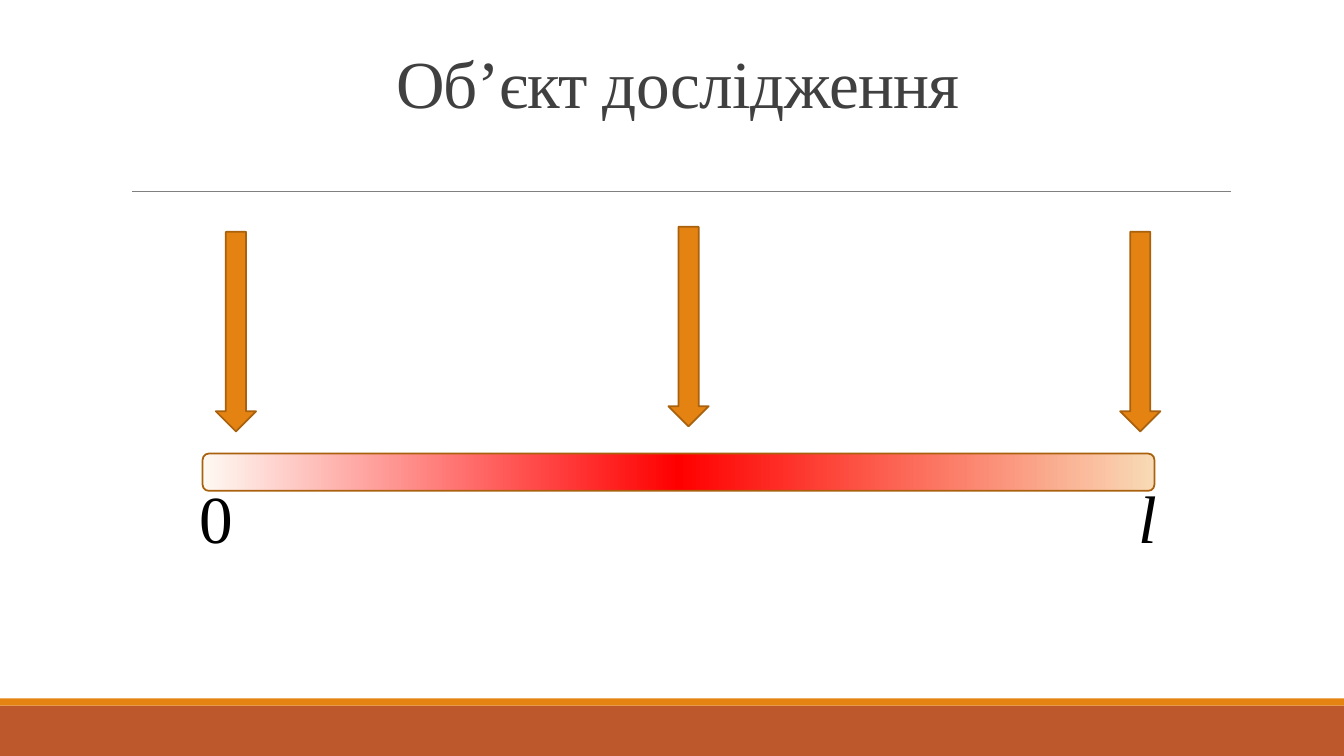
from copy import deepcopy
from lxml.etree import SubElement
from pptx import Presentation
from pptx.dml.color import RGBColor
from pptx.enum.shapes import MSO_CONNECTOR, MSO_SHAPE
from pptx.enum.text import MSO_ANCHOR, MSO_AUTO_SIZE, PP_ALIGN
from pptx.oxml.ns import qn
from pptx.util import Emu, Pt

SCALE = 9144
ORANGE, RUST, EDGE = "E48312", "BD582C", "A9610D"


def px(num):
    return Emu(num * SCALE)


def paint(item, tone):
    item.rgb = RGBColor.from_string(tone)


def apply(item, form):
    for name, value in form.items():
        setattr(item, name, value)


def add_form(slide, kind, box, tone=None, edge=None):
    form = slide.shapes.add_shape(kind, *map(px, box))
    form.shadow.inherit = False
    if tone:
        form.fill.solid()
        paint(form.fill.fore_color, tone)
    if edge:
        paint(form.line.color, edge)
        form.line.width = Pt(1.25)
    else:
        form.line.fill.background()
    return form


def add_blend(form, tones):
    form.fill.gradient()
    form.fill.gradient_angle = 0
    stops = form._element.spPr.find(qn("a:gradFill")).find(qn("a:gsLst"))
    while len(stops) < len(tones):
        stops.append(deepcopy(stops[0]))
    for rank, (stop, tone) in enumerate(zip(form.fill.gradient_stops, tones)):
        stop.position = rank / (len(tones) - 1)
        paint(stop.color, tone)


def add_rule(slide, left, right, top):
    rule = slide.shapes.add_connector(
        MSO_CONNECTOR.STRAIGHT, px(left), px(top), px(right), px(top))
    paint(rule.line.color, "808080")
    rule.line.width = Pt(0.5)
    SubElement(rule._element.spPr, qn("a:effectLst"))


def add_text(slide, box, text, tone, frame={}, para={}, font={}):
    area = slide.shapes.add_textbox(*map(px, box)).text_frame
    apply(area, {"word_wrap": True, **frame})
    line = area.paragraphs[0]
    apply(line, para)
    run = line.add_run()
    run.text = text
    apply(run.font, {"name": "Times New Roman", "size": Pt(48), **font})
    paint(run.font.color, tone)
    return run


def main():
    deck = Presentation()
    apply(deck, {"slide_width": px(1333), "slide_height": px(750)})
    slide = deck.slides.add_slide(deck.slide_layouts[6])

    add_form(slide, MSO_SHAPE.RECTANGLE, (0, 700, 1333, 50), RUST)
    add_form(slide, MSO_SHAPE.RECTANGLE, (0, 693, 1333, 7), ORANGE)
    add_rule(slide, 131, 1221, 190)
    title = add_text(
        slide, (131, 15, 1083, 111), "Об’єкт дослідження", "404040",
        {"vertical_anchor": MSO_ANCHOR.BOTTOM},
        {"alignment": PP_ALIGN.CENTER, "line_spacing": 0.85})
    title.font._element.set("spc", "-50")

    rod = add_form(slide, MSO_SHAPE.ROUNDED_RECTANGLE,
                   (201, 450, 944, 37), edge=EDGE)
    add_blend(rod, ("FEF9F3", "FF0000", "F9DAB6"))
    for left, text, slant in ((188, "0", False), (1119, "l", True)):
        add_text(slide, (left, 468, 26, 91), text, "000000",
                 {"auto_size": MSO_AUTO_SIZE.SHAPE_TO_FIT_TEXT},
                 font={"italic": slant})
    for left, top in ((214, 230), (1111, 230), (663, 225)):
        add_form(slide, MSO_SHAPE.DOWN_ARROW, (left, top, 40, 198),
                 ORANGE, EDGE)
    deck.save("out.pptx")


if __name__ == "__main__":
    main()
